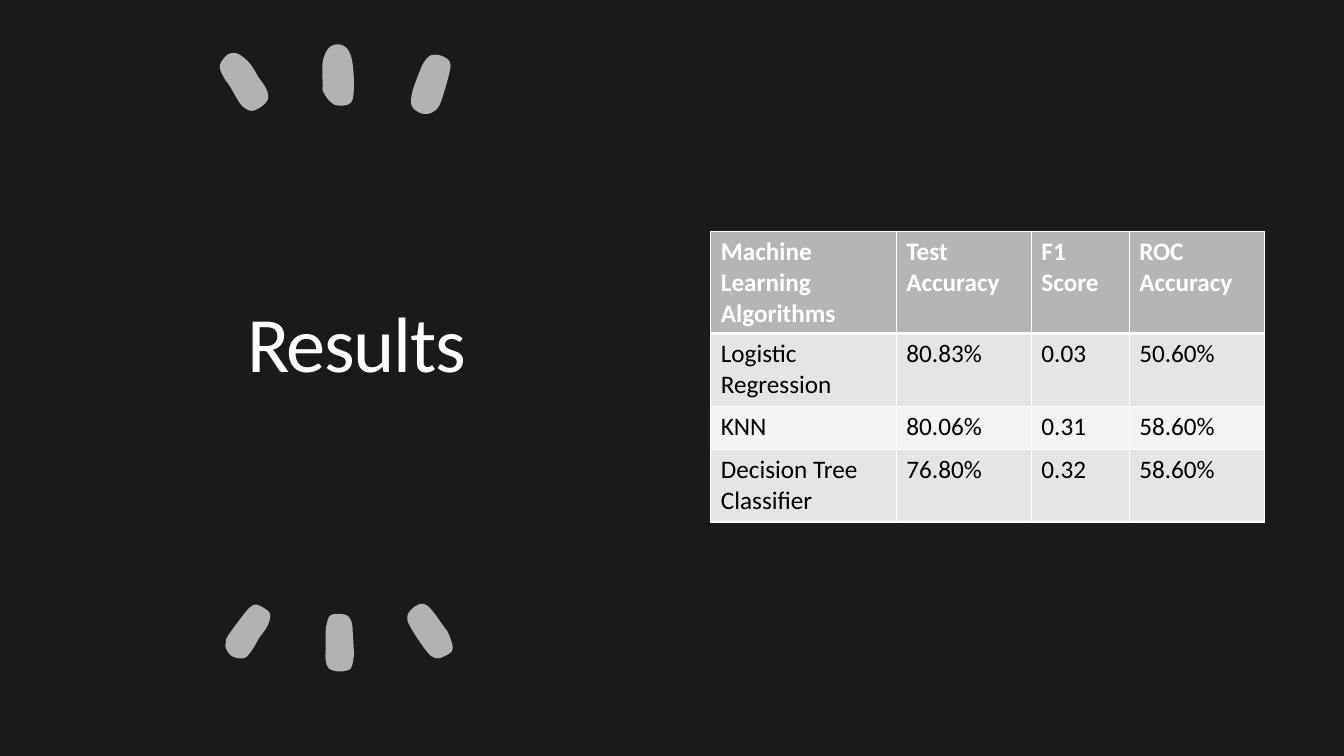
from lxml import etree
from pptx import Presentation
from pptx.dml.color import RGBColor
from pptx.enum.shapes import MSO_SHAPE
from pptx.enum.text import MSO_ANCHOR, PP_ALIGN
from pptx.oxml.ns import qn
from pptx.util import Inches, Pt

RECT = MSO_SHAPE.RECTANGLE
BOTTOM = MSO_ANCHOR.BOTTOM
CENTER = PP_ALIGN.CENTER

BLACK = RGBColor(0x00, 0x00, 0x00)
WHITE = RGBColor(0xFF, 0xFF, 0xFF)
DARK = RGBColor(0x1A, 0x1A, 0x1A)
DASH = RGBColor(0xB2, 0xB2, 0xB2)
HEAD = RGBColor(0xB5, 0xB5, 0xB5)
BANDS = [RGBColor(0xE5, 0xE5, 0xE5), RGBColor(0xF3, 0xF3, 0xF3)]


def bend(shape):
    """Turn the straight sides of a closed outline into smooth curves."""
    sides = list(shape._element.iter(qn("a:lnTo")))
    ends = [(int(side[0].get("x")), int(side[0].get("y"))) for side in sides]
    for i, side in enumerate(sides):
        a, b, c, d = (ends[(i + j) % len(ends)] for j in (-2, -1, 0, 1))
        side.tag = qn("a:cubicBezTo")
        pulls = [[q + (r - p) / 6 for p, q, r in zip(a, b, c)],
                 [q - (r - p) / 6 for p, q, r in zip(b, c, d)]]
        for spot, (x, y) in enumerate(pulls):
            side.insert(spot, etree.Element(
                qn("a:pt"), x=str(round(x)), y=str(round(y))))


def style(run, **looks):
    """Set the font of a run from format values."""
    run.font.color.rgb = looks.pop("color")
    for name, value in looks.items():
        setattr(run.font, name, value)


deck = Presentation()
deck.slide_width = Inches(13.33)
deck.slide_height = Inches(7.5)
slide = deck.slides.add_slide(deck.slide_layouts[6])
shapes = slide.shapes

# Backdrop
slide.background.fill.solid()
slide.background.fill.fore_color.rgb = BLACK
panel = shapes.add_shape(RECT, 0, 0, deck.slide_width, deck.slide_height)
panel.shadow.inherit = False
panel.fill.solid()
panel.fill.fore_color.rgb = DARK
panel.line.fill.background()

# Title
title = shapes.add_textbox(Inches(0.79), Inches(1.7), Inches(5.49), Inches(2.15))
frame = title.text_frame
for name, value in {"word_wrap": True, "vertical_anchor": BOTTOM,
                    "margin_left": 0, "margin_right": 0,
                    "margin_top": 0, "margin_bottom": 0}.items():
    setattr(frame, name, value)
frame.paragraphs[0].alignment = CENTER
run = frame.paragraphs[0].add_run()
run.text = "Results"
style(run, name="Calibri", size=Pt(56), color=WHITE)
run.font._element.set("spc", "-100")

# Hand-drawn dashes above and below the title
TOP = [
    [(2.4, 1.05), (2.34, 0.96), (2.27, 0.84), (2.22, 0.77), (2.18, 0.65),
     (2.26, 0.54), (2.35, 0.53), (2.45, 0.6), (2.52, 0.69), (2.56, 0.76),
     (2.64, 0.88), (2.66, 0.98), (2.59, 1.06), (2.49, 1.1)],
    [(3.21, 0.92), (3.2, 0.82), (3.2, 0.62), (3.25, 0.49), (3.33, 0.44),
     (3.43, 0.47), (3.49, 0.59), (3.51, 0.84), (3.48, 1.02), (3.32, 1.04)],
    [(4.46, 0.71), (4.46, 0.61), (4.37, 0.55), (4.27, 0.55), (4.21, 0.61),
     (4.17, 0.69), (4.09, 0.91), (4.08, 1.04), (4.13, 1.1), (4.2, 1.13),
     (4.28, 1.12), (4.35, 1.06), (4.4, 0.93)],
]
LOW = [
    [(3.23, 6.55), (3.23, 6.43), (3.23, 6.27), (3.24, 6.19), (3.27, 6.11),
     (3.33, 6.09), (3.38, 6.09), (3.45, 6.11), (3.49, 6.18), (3.5, 6.29),
     (3.51, 6.46), (3.51, 6.51), (3.48, 6.63), (3.4, 6.66), (3.34, 6.66),
     (3.26, 6.63)],
    [(4.28, 6.05), (4.39, 6.2), (4.45, 6.29), (4.49, 6.44), (4.41, 6.51),
     (4.32, 6.53), (4.23, 6.46), (4.07, 6.22), (4.04, 6.11), (4.11, 6.02),
     (4.2, 5.99)],
    [(2.5, 6.01), (2.55, 6), (2.63, 6.04), (2.68, 6.09), (2.67, 6.17),
     (2.63, 6.25), (2.57, 6.33), (2.5, 6.45), (2.42, 6.53), (2.3, 6.51),
     (2.24, 6.43), (2.24, 6.38), (2.26, 6.31), (2.43, 6.08)],
]
for fan in (TOP, LOW):
    group = shapes.add_group_shape()
    for knots in fan:
        spots = [(Inches(x), Inches(y)) for x, y in knots]
        pen = group.shapes.build_freeform(*spots[0])
        pen.add_line_segments(spots[1:] + spots[:1], close=True)
        dash = pen.convert_to_shape()
        bend(dash)
        dash.shadow.inherit = False
        dash.fill.solid()
        dash.fill.fore_color.rgb = DASH
        dash.line.fill.background()

# Results table
ROWS = [
    ["Machine Learning Algorithms", "Test Accuracy", "F1 Score", "ROC Accuracy"],
    ["Logistic Regression", "80.83%", "0.03", "50.60%"],
    ["KNN", "80.06%", "0.31", "58.60%"],
    ["Decision Tree Classifier", "76.80%", "0.32", "58.60%"],
]
table = shapes.add_table(len(ROWS), len(ROWS[0]), Inches(7.05), Inches(2.3),
                         Inches(5.49), Inches(2.88)).table
for col, width in zip(table.columns, (1.84, 1.34, 0.97, 1.34)):
    col.width = Inches(width)
for row, height in zip(table.rows, (1.01, 0.72, 0.43, 0.72)):
    row.height = Inches(height)

for r, words in enumerate(ROWS):
    top = r == 0
    for c, word in enumerate(words):
        cell = table.cell(r, c)
        run = cell.text_frame.paragraphs[0].add_run()
        run.text = word
        style(run, name="Calibri", size=Pt(18), bold=top,
              color=WHITE if top else BLACK)
        # White borders, thick between header and body
        props = cell._tc.get_or_add_tcPr()
        edges = {"lnL": 1, "lnR": 1, "lnT": 3 if r == 1 else 1,
                 "lnB": 3 if top else 1}
        for tag, width in edges.items():
            edge = etree.SubElement(props, qn("a:" + tag), w=str(Pt(width)))
            fill = etree.SubElement(edge, qn("a:solidFill"))
            etree.SubElement(fill, qn("a:srgbClr"), val=str(WHITE))
        cell.fill.solid()
        cell.fill.fore_color.rgb = HEAD if top else BANDS[(r - 1) % 2]

deck.save("out.pptx")
